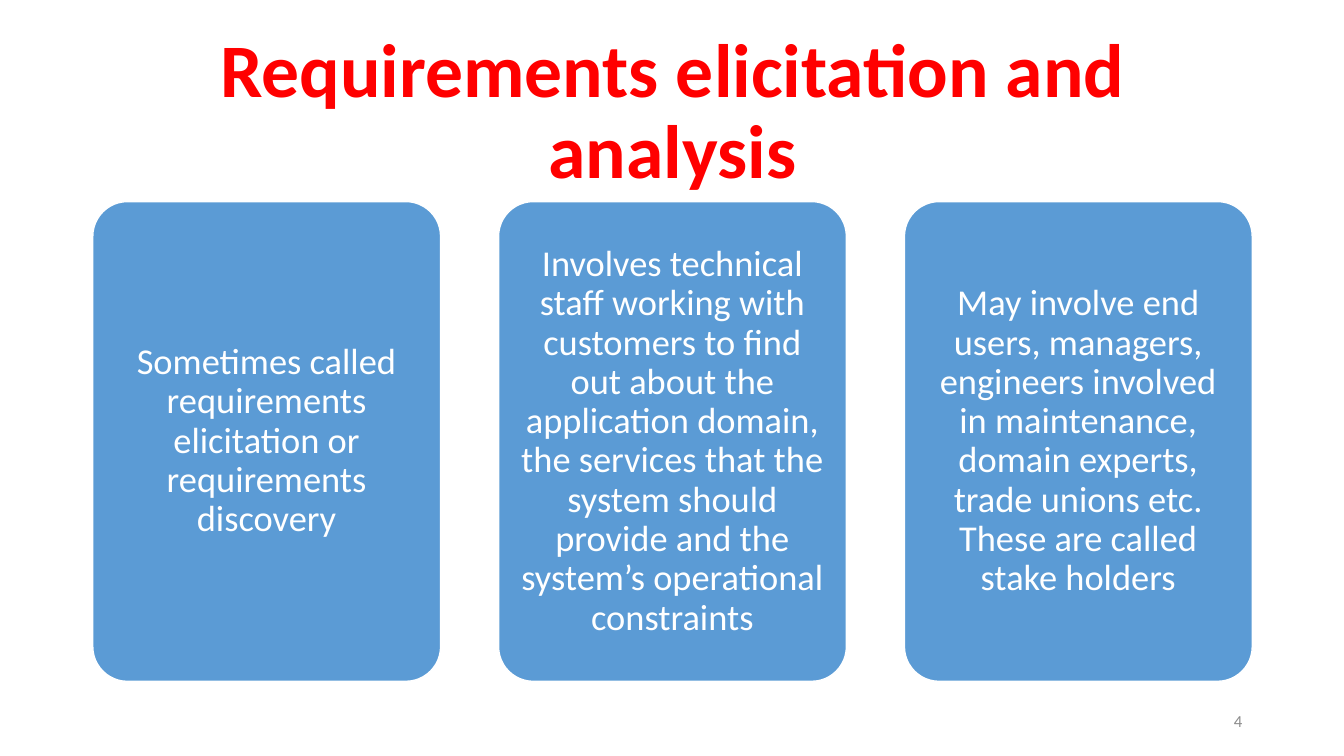
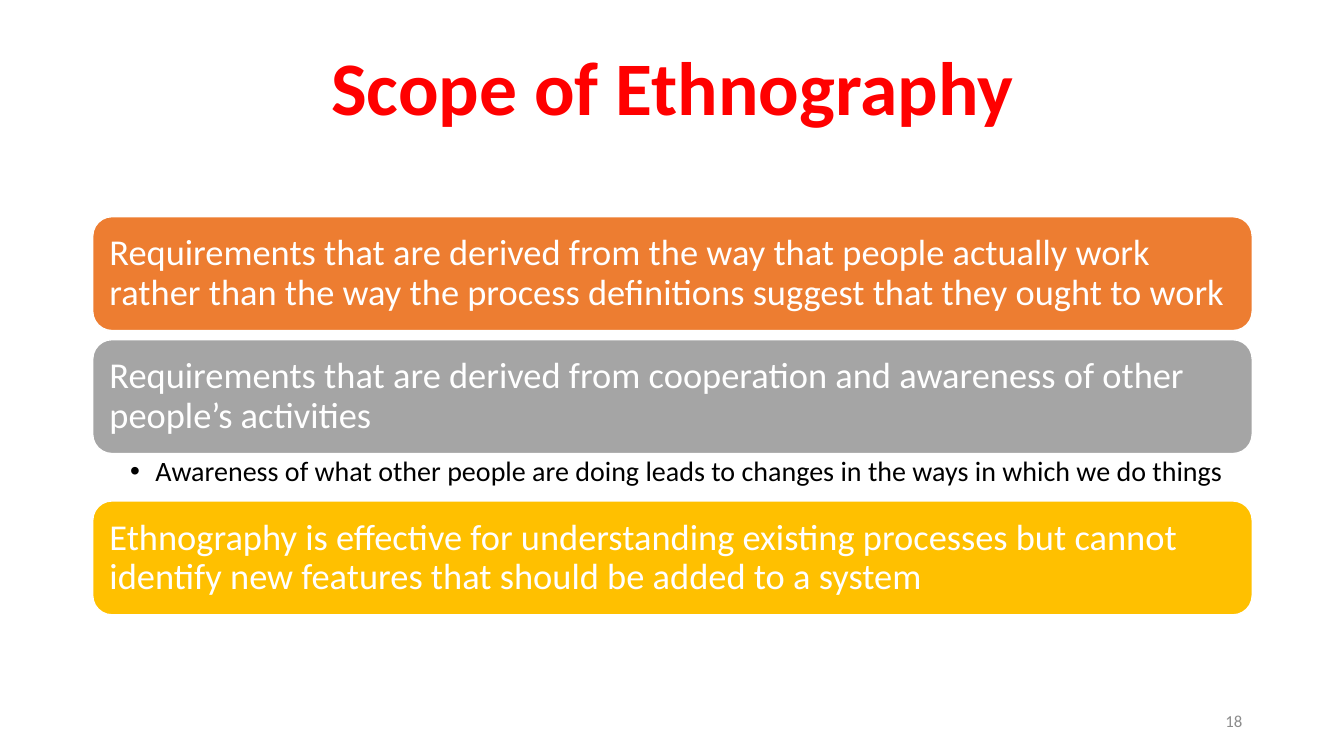
from lxml import etree
from pptx import Presentation
from pptx import util as u
from pptx.dml.color import RGBColor
from pptx.enum import shapes, text
from pptx.oxml.ns import qn

COLORS = {
    "title": "FF0000",
    "blue": "5B9BD5",
    "orange": "ED7D31",
    "gray": "A5A5A5",
    "gold": "FFC000",
    "white": "FFFFFF",
    "black": "000000",
    "number": "8C8C8C",
}
FONT = "Calibri"

# Grid: 20 columns between the side margins, 75 rows down the slide
MARGIN = 0.92
COLUMN = 11.5 / 20
ROW = 0.1
ALL_COLUMNS = 20
TITLE_ONLY, TITLE_AND_BODY = 5, 1


class Deck:
    def __init__(self):
        self.presentation = Presentation()
        self.presentation.slide_width = u.Inches(13.33)
        self.presentation.slide_height = u.Inches(7.5)
        self.slide = None

    def area(self, column, row, columns, rows):
        """Turn grid units into left, top, width and height."""
        return (u.Inches(MARGIN + column * COLUMN), u.Inches(row * ROW),
                u.Inches(columns * COLUMN), u.Inches(rows * ROW))

    def move(self, shape, area):
        shape.left, shape.top, shape.width, shape.height = area

    def set_text(self, shape, words, size, color, align=text.PP_ALIGN.LEFT,
                 bold=False, spacing=0.9, anchor=text.MSO_ANCHOR.MIDDLE):
        frame = shape.text_frame
        frame.text = words
        frame.word_wrap = True
        frame.auto_size = text.MSO_AUTO_SIZE.NONE
        frame.vertical_anchor = anchor
        paragraph = frame.paragraphs[0]
        paragraph.alignment = align
        paragraph.line_spacing = spacing
        paragraph.space_before = u.Pt(0)
        font = paragraph.runs[0].font
        font.name, font.size, font.bold = FONT, u.Pt(size), bold
        font.color.rgb = RGBColor.from_string(COLORS[color])
        return paragraph

    def insets(self, shape, left, top, right, bottom):
        frame = shape.text_frame
        frame.margin_left, frame.margin_top = u.Inches(left), u.Inches(top)
        frame.margin_right, frame.margin_bottom = u.Inches(right), u.Inches(bottom)

    def add_slide(self, layout, title, title_rows, number):
        layouts = self.presentation.slide_layouts
        self.slide = self.presentation.slides.add_slide(layouts[layout])
        heading = self.slide.shapes.title
        self.move(heading, self.area(0, 4, ALL_COLUMNS, title_rows))
        self.set_text(heading, title, 54, "title", text.PP_ALIGN.CENTER, bold=True)
        # Slide number
        box = self.slide.shapes.add_textbox(*self.area(14, 69.5, 6, 4))
        self.set_text(box, number, 12, "number", text.PP_ALIGN.RIGHT, spacing=1.0)

    def panel(self, words, area, fill, align=text.PP_ALIGN.LEFT, corner=0.17):
        panel = self.slide.shapes.add_shape(
            shapes.MSO_SHAPE.ROUNDED_RECTANGLE, *area)
        panel.adjustments[0] = corner
        panel.shadow.inherit = False
        panel.fill.solid()
        panel.fill.fore_color.rgb = RGBColor.from_string(COLORS[fill])
        panel.line.color.rgb = RGBColor.from_string(COLORS["white"])
        panel.line.width = u.Pt(1)
        self.insets(panel, 0.11, 0.11, 0.11, 0.11)
        self.set_text(panel, words, 26, "white", align)

    def bullet(self, words, area):
        body = self.slide.placeholders[1]
        self.move(body, area)
        self.insets(body, 0.37, 0.04, 0.2, 0.04)
        paragraph = self.set_text(body, words, 20, "black",
                                  anchor=text.MSO_ANCHOR.TOP)
        properties = paragraph._p.get_or_add_pPr()
        properties.set("marL", str(u.Inches(0.25)))
        properties.set("indent", str(-u.Inches(0.25)))
        etree.SubElement(properties, qn("a:buChar")).set("char", "•")


def main():
    deck = Deck()

    # Three cards, one column apart
    deck.add_slide(TITLE_ONLY, "Requirements elicitation and analysis", 14.5, "4")
    cards = [
        "Sometimes called requirements elicitation or requirements discovery",
        "Involves technical staff working with customers to find out about the "
        "application domain, the services that the system should provide and "
        "the system’s operational constraints",
        "May involve end users, managers, engineers involved in maintenance, "
        "domain experts, trade unions etc. These are called stake holders",
    ]
    for index, words in enumerate(cards):
        deck.panel(words, deck.area(index * 7, 20, 6, 47.6), "blue",
                   text.PP_ALIGN.CENTER, corner=0.1)

    # Stacked bars with a bullet under the second
    deck.add_slide(TITLE_AND_BODY, "Scope of Ethnography", 10, "18")
    bars = [
        (21.5, "orange", "Requirements that are derived from the way that people "
         "actually work rather than the way the process definitions suggest "
         "that they ought to work"),
        (33.7, "gray", "Requirements that are derived from cooperation and "
         "awareness of other people’s activities"),
        (49.7, "gold", "Ethnography is effective for understanding existing "
         "processes but cannot identify new features that should be added to "
         "a system"),
    ]
    for row, fill, words in bars:
        deck.panel(words, deck.area(0, row, ALL_COLUMNS, 11.3), fill)
    deck.bullet("Awareness of what other people are doing leads to changes in "
                "the ways in which we do things",
                deck.area(0, 45, ALL_COLUMNS, 4.7))

    deck.presentation.save("out.pptx")


if __name__ == "__main__":
    main()
